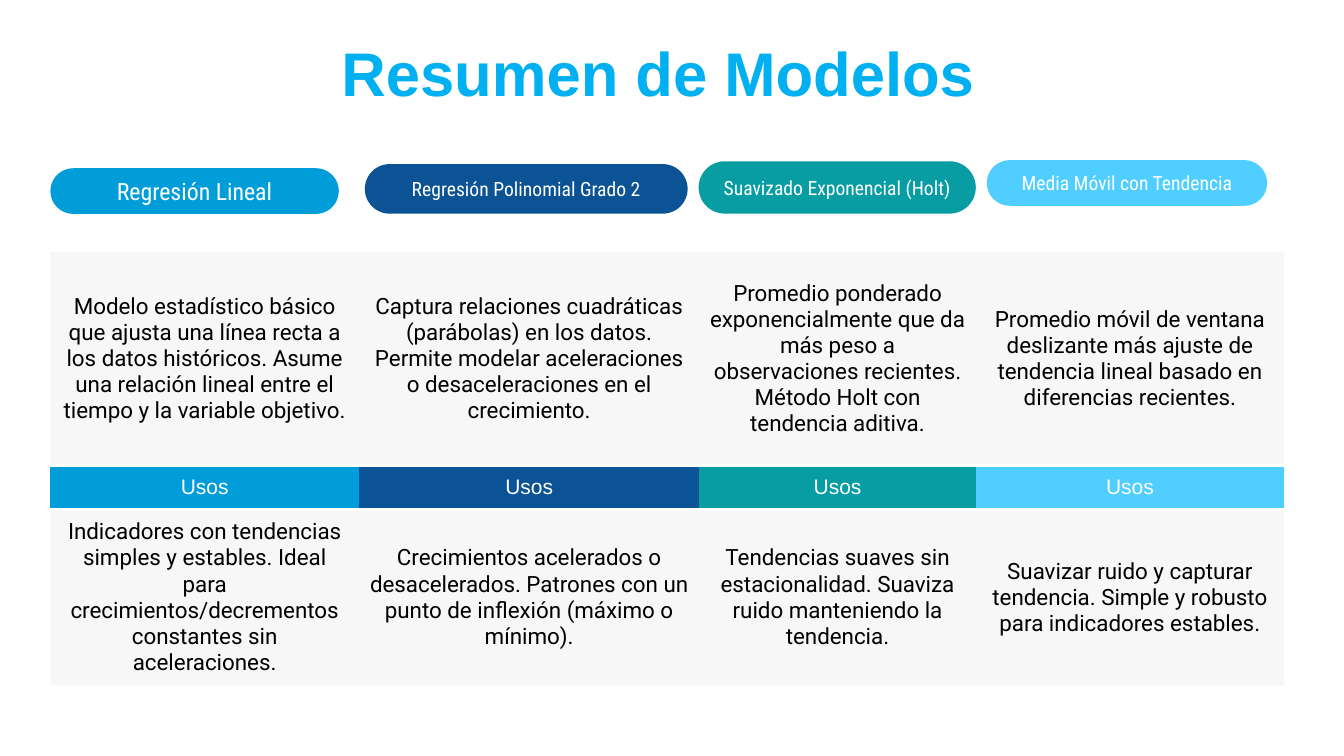
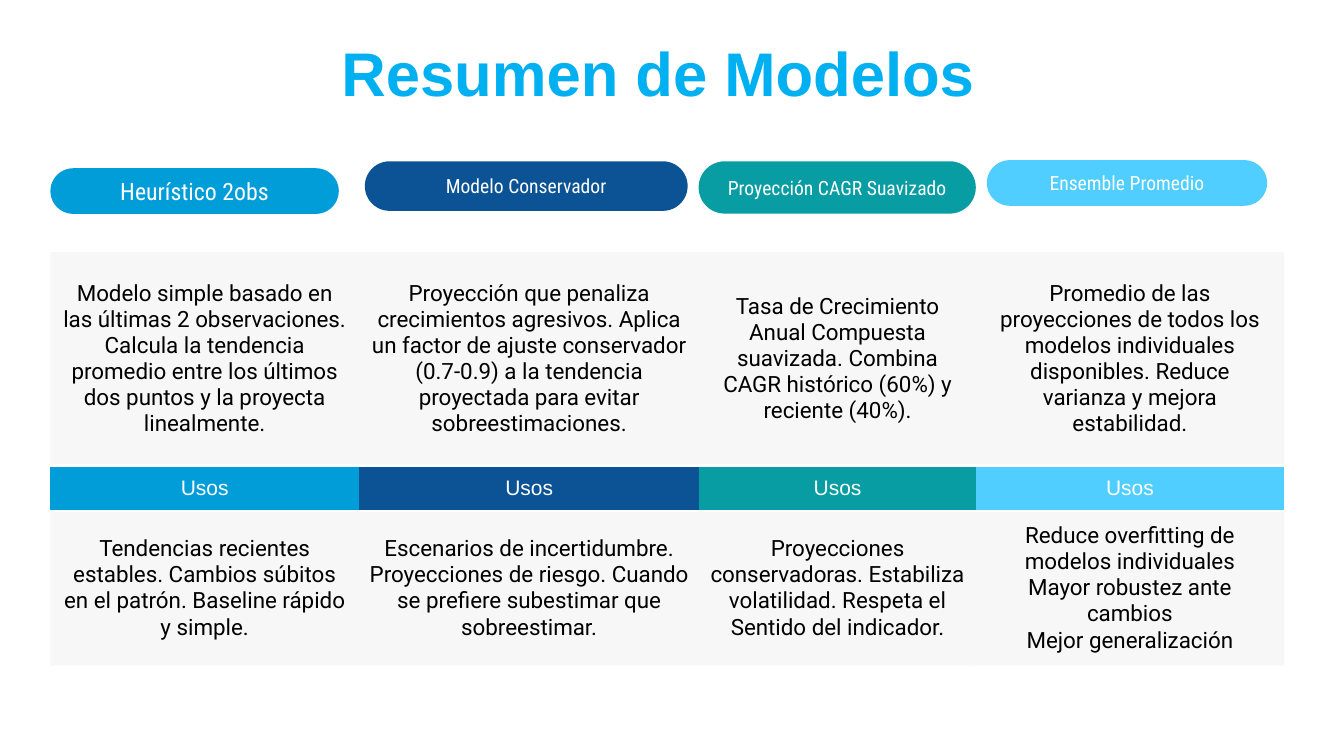
from lxml.etree import SubElement
from pptx import Presentation
from pptx.dml.color import RGBColor
from pptx.enum.shapes import MSO_SHAPE as Shape
from pptx.enum.text import MSO_ANCHOR as Anchor, PP_ALIGN as Align
from pptx.oxml import parse_xml
from pptx.oxml.ns import nsdecls, qn
from pptx.util import Pt

# Shared look
TITLE = "Resumen de Modelos"
USES = "Usos"
SKY = RGBColor(0x00, 0xB0, 0xF0)
BLUE = RGBColor(0x00, 0x9D, 0xD9)
NAVY = RGBColor(0x0B, 0x53, 0x94)
TEAL = RGBColor(0x08, 0x9C, 0xA3)
LIGHT = RGBColor(0x4F, 0xCE, 0xFF)
GRAY = RGBColor(0xF3, 0xF3, 0xF3)
BLACK = RGBColor(0, 0, 0)
WHITE = RGBColor(0xFF, 0xFF, 0xFF)
HUES = [BLUE, NAVY, TEAL, LIGHT]
PLAIN = "{2D5ABB26-0587-4C30-8999-92F81FD0307C}"  # table style without grid
LEFT, TOP, INSET = 36, 180, 7.2
COLS = [220.4, 243.2, 197.4, 220.3]
HEAD, BAND = 152.6, 31

# Label pills: left, width, height, text size
PILLS = [
    (36, 206, 32.6, 17),
    (260.6, 230.6, 35.4, 14),
    (499, 198, 37.4, 14),
    (704.9, 200.2, 32.6, 14),
]

# Each model: name, description, uses
SLIDES = [
    {
        "tops": [120.2, 117.2, 115.2, 114.4],
        "foot": 125.8,
        "models": [
            ("Regresión Lineal",
             "Modelo estadístico básico que ajusta una línea recta a los datos "
             "históricos. Asume una relación lineal entre el tiempo y la "
             "variable objetivo.",
             ["Indicadores con tendencias simples y estables. Ideal para "
              "crecimientos/decrementos constantes sin aceleraciones."]),
            ("Regresión Polinomial Grado 2",
             "Captura relaciones cuadráticas (parábolas) en los datos. Permite "
             "modelar aceleraciones o desaceleraciones en el crecimiento.",
             ["Crecimientos acelerados o desacelerados. Patrones con un punto "
              "de inflexión (máximo o mínimo)."]),
            ("Suavizado Exponencial (Holt)",
             "Promedio ponderado exponencialmente que da más peso a "
             "observaciones recientes. Método Holt con tendencia aditiva.",
             ["Tendencias suaves sin estacionalidad. Suaviza ruido "
              "manteniendo la tendencia."]),
            ("Media Móvil con Tendencia",
             "Promedio móvil de ventana deslizante más ajuste de tendencia "
             "lineal basado en diferencias recientes.",
             ["Suavizar ruido y capturar tendencia. Simple y robusto para "
              "indicadores estables."]),
        ],
    },
    {
        "tops": [120.2, 115.2, 115.2, 114.4],
        "foot": 107.2,
        "models": [
            ("Heurístico 2obs",
             "Modelo simple basado en las últimas 2 observaciones. Calcula la "
             "tendencia promedio entre los últimos dos puntos y la proyecta "
             "linealmente.",
             ["Tendencias recientes estables. Cambios súbitos en el patrón. "
              "Baseline rápido y simple."]),
            ("Modelo Conservador",
             "Proyección que penaliza crecimientos agresivos. Aplica un factor "
             "de ajuste conservador (0.7-0.9) a la tendencia proyectada para "
             "evitar sobreestimaciones.",
             ["Escenarios de incertidumbre. Proyecciones de riesgo. Cuando se "
              "prefiere subestimar que sobreestimar."]),
            ("Proyección CAGR Suavizado",
             "Tasa de Crecimiento Anual Compuesta suavizada. Combina CAGR "
             "histórico (60%) y reciente (40%).",
             ["Proyecciones conservadoras. Estabiliza volatilidad. Respeta el "
              "Sentido del indicador."]),
            ("Ensemble Promedio",
             "Promedio de las proyecciones de todos los modelos individuales "
             "disponibles. Reduce varianza y mejora estabilidad.",
             ["Reduce overfitting de modelos individuales",
              "Mayor robustez ante cambios",
              "Mejor generalización"]),
        ],
    },
]


def write(frame, lines, size, face, color, bold=False):
    frame.word_wrap = True
    frame.text = "\n".join(lines)
    for par in frame.paragraphs:
        par.alignment = Align.CENTER
        font = par.font
        font.size, font.name, font.bold = Pt(size), face, bold
        font.color.rgb = color


def inset(box):
    box.margin_left = box.margin_right = Pt(INSET)
    box.margin_top = box.margin_bottom = Pt(INSET)
    box.vertical_anchor = Anchor.MIDDLE


def paint(part, color):
    part.fill.solid()
    part.fill.fore_color.rgb = color


def fade(cell, share):
    tint = cell._tc.tcPr.find(".//" + qn("a:srgbClr"))
    SubElement(tint, qn("a:alpha"), val=str(share * 1000))


def edge(cell, side):
    cell._tc.tcPr.insert(0, parse_xml(
        f'<a:{side} {nsdecls("a")} w="{Pt(2.25)}"><a:solidFill>'
        f'<a:srgbClr val="{WHITE}"/></a:solidFill></a:{side}>'))


def add_grid(slide, models, foot):
    rows = [HEAD, BAND, foot]
    frame = slide.shapes.add_table(
        len(rows), len(COLS), Pt(LEFT), Pt(TOP), Pt(sum(COLS)), Pt(sum(rows)))
    table = frame.table
    table.first_row = table.horz_banding = False
    table._tbl.tblPr.find(qn("a:tableStyleId")).text = PLAIN
    for row, high in zip(table.rows, rows):
        row.height = Pt(high)
    for x, (wide, hue, model) in enumerate(zip(COLS, HUES, models)):
        table.columns[x].width = Pt(wide)
        about, band, uses = (table.cell(y, x) for y in range(len(rows)))
        for cell, lines in ((about, [model[1]]), (uses, model[2])):
            inset(cell)
            paint(cell, GRAY)
            fade(cell, 64)
            write(cell.text_frame, lines, 16, "Roboto", BLACK)
        inset(band)
        paint(band, hue)
        write(band.text_frame, [USES], 15, "Arial", WHITE)
        edge(about, "lnB")
        edge(band, "lnT")


def add_pill(slide, spot, top, hue, name):
    left, wide, high, size = spot
    pill = slide.shapes.add_shape(
        Shape.ROUNDED_RECTANGLE, Pt(left), Pt(top), Pt(wide), Pt(high))
    pill.adjustments[0] = 0.5
    pill.shadow.inherit = False
    pill.line.fill.background()
    paint(pill, hue)
    inset(pill.text_frame)
    write(pill.text_frame, [name], size, "Roboto Condensed", WHITE)


def add_title(slide):
    box = slide.shapes.add_textbox(Pt(LEFT), Pt(21.6), Pt(868.3), Pt(46))
    write(box.text_frame, [TITLE], 44, "Arial", SKY, True)


def main():
    deck = Presentation()
    deck.slide_width, deck.slide_height = Pt(960), Pt(540)
    for page in SLIDES:
        slide = deck.slides.add_slide(deck.slide_layouts[6])
        models = page["models"]
        add_grid(slide, models, page["foot"])
        for spot, top, hue, model in zip(PILLS, page["tops"], HUES, models):
            add_pill(slide, spot, top, hue, model[0])
        add_title(slide)
    deck.save("out.pptx")


if __name__ == "__main__":
    main()
